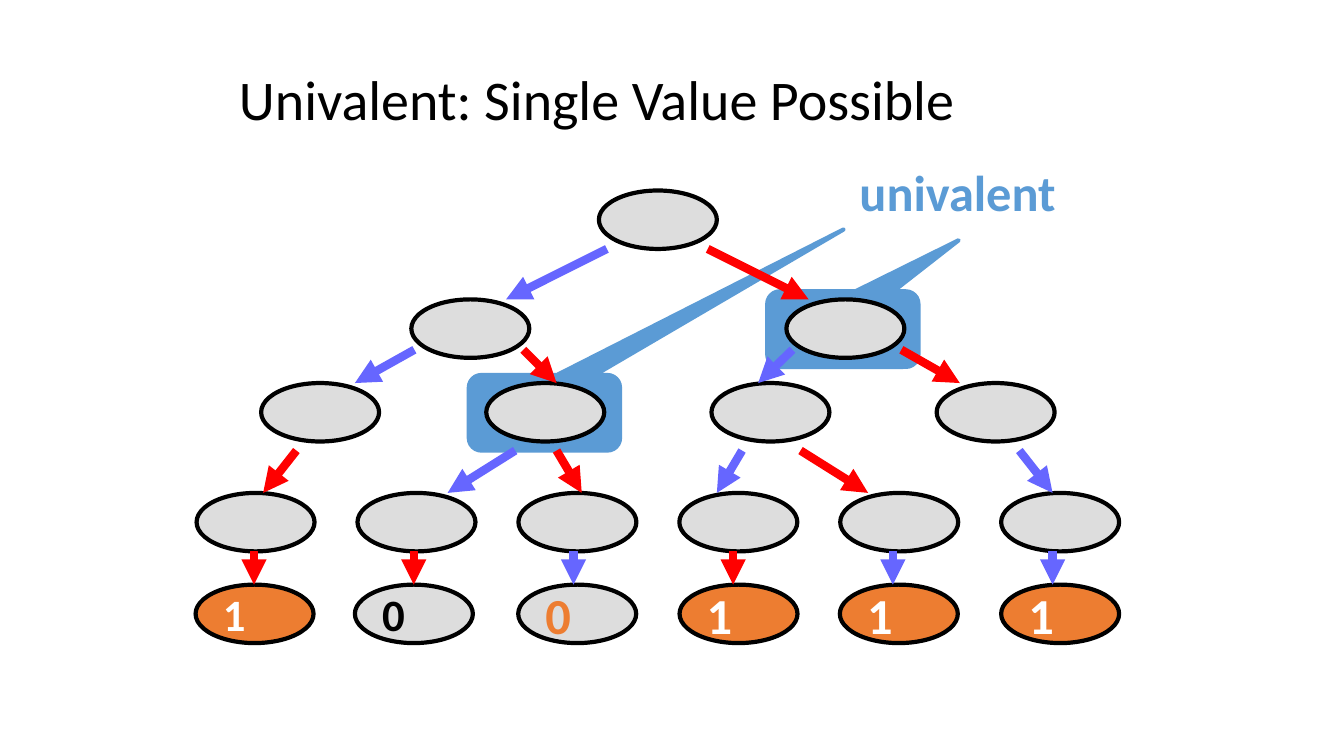
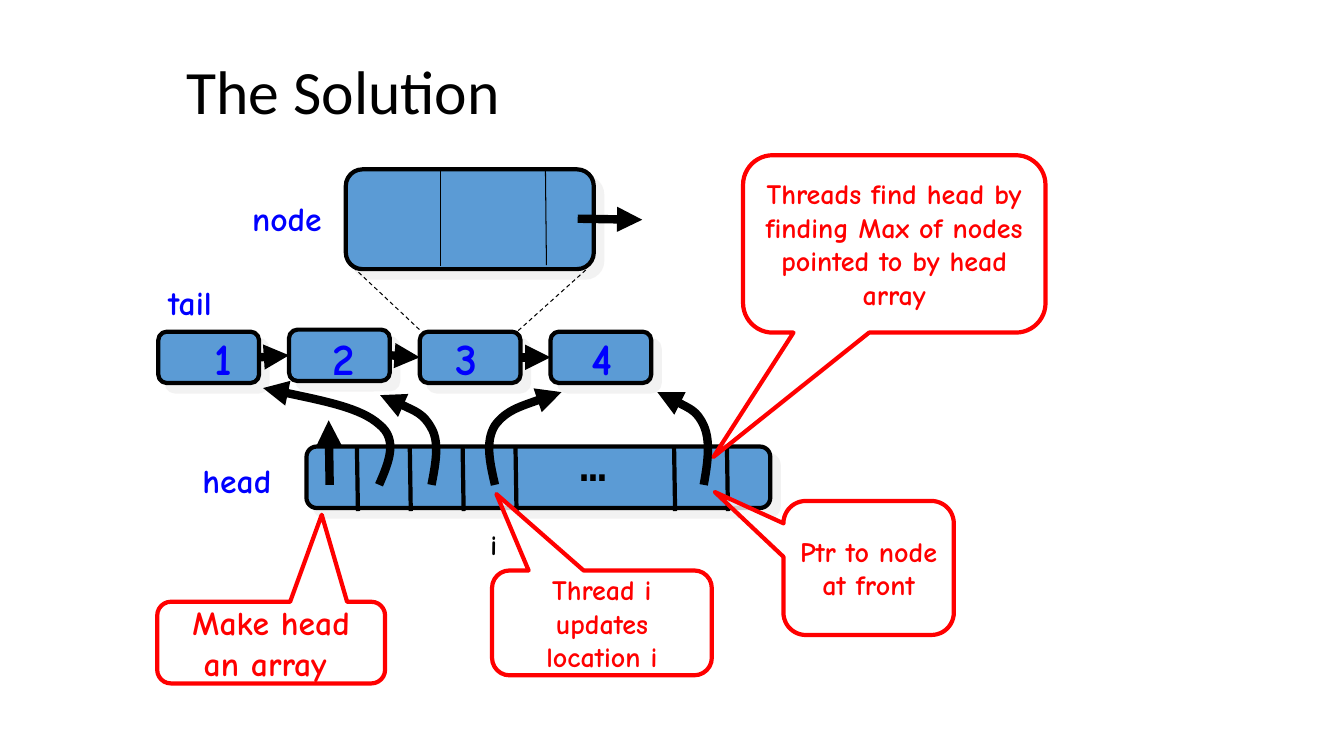
from dataclasses import dataclass
from typing import Any

from lxml import etree
from pptx import Presentation
from pptx.dml.color import RGBColor
from pptx.enum.dml import MSO_LINE
from pptx.enum.shapes import MSO_CONNECTOR, MSO_SHAPE
from pptx.enum.text import MSO_ANCHOR, MSO_AUTO_SIZE, PP_ALIGN
from pptx.oxml.ns import qn
from pptx.util import Inches, Pt

STRAIGHT = MSO_CONNECTOR.STRAIGHT
ELLIPSE = MSO_SHAPE.OVAL
ROUNDED = MSO_SHAPE.ROUNDED_RECTANGLE
CALLOUT = MSO_SHAPE.ROUNDED_RECTANGULAR_CALLOUT
LEFT, CENTER, RIGHT = PP_ALIGN.LEFT, PP_ALIGN.CENTER, PP_ALIGN.RIGHT
MIDDLE = MSO_ANCHOR.MIDDLE
DASH = MSO_LINE.DASH
SIDE_LEFT, SIDE_RIGHT = 1, 3

COLORS = {
    "black": "000000", "white": "FFFFFF", "state": "DDDDDD", "one": "ED7D31",
    "accent": "5B9BD5", "left_move": "6666FF", "right_move": "FF0000",
    "label": "0000FF", "remark": "FF0000", "shadow": "E7E6E6",
}
BODY_FONT, COMIC_FONT, MONO_FONT = "Calibri", "Comic Neue", "DejaVu Sans Mono"
CORNER = 0.167
Point = tuple[float, float]


@dataclass(frozen=True)
class Box:
    left: float
    top: float
    width: float
    height: float


@dataclass(frozen=True)
class TextStyle:
    size: float
    color: str
    font: str = COMIC_FONT
    bold: bool = True
    align: Any = RIGHT


@dataclass(frozen=True)
class Label:
    text: str
    box: Box
    style: TextStyle


@dataclass(frozen=True)
class Leaf:
    value: str
    left: float
    fill: str
    color: str
    size: float = 36


@dataclass(frozen=True)
class Move:
    start: Point
    end: Point
    color: str


@dataclass(frozen=True)
class Remark:
    text: str
    box: Box
    pointer: Point
    size: float = 20


@dataclass(frozen=True)
class ListNode:
    number: str
    top: float
    number_left: float


# Shared drawing helpers
def rgb(name: str) -> RGBColor:
    return RGBColor.from_string(COLORS[name])


def spread(first: float, last: float, count: int) -> list[float]:
    return [first + (last - first) * i / (count - 1) for i in range(count)]


def write(frame: Any, text: str, style: TextStyle) -> None:
    paragraph = frame.paragraphs[0]
    paragraph.alignment = style.align
    run = paragraph.add_run()
    run.text = text
    run.font.name, run.font.size, run.font.bold = style.font, Pt(style.size), style.bold
    run.font.color.rgb = rgb(style.color)


def add_titled_slide(deck: Any, text: str, box: Box, size: float) -> Any:
    slide = deck.slides.add_slide(deck.slide_layouts[5])
    title = slide.shapes.title
    title.left, title.top = Inches(box.left), Inches(box.top)
    title.width, title.height = Inches(box.width), Inches(box.height)
    frame = title.text_frame
    frame.word_wrap, frame.auto_size = True, MSO_AUTO_SIZE.NONE
    frame.vertical_anchor = MIDDLE
    frame.paragraphs[0].line_spacing = 0.9
    write(frame, text, TextStyle(size, "black", BODY_FONT, False, LEFT))
    return slide


def add_figure(shapes: Any, preset: Any, box: Box, fill: str, line: str = "black") -> Any:
    figure = shapes.add_shape(preset, Inches(box.left), Inches(box.top),
                              Inches(box.width), Inches(box.height))
    figure.shadow.inherit = False
    figure.fill.solid()
    figure.fill.fore_color.rgb = rgb(fill)
    figure.line.color.rgb = rgb(line)
    figure.line.width = Pt(3)
    return figure


def add_callout(shapes: Any, box: Box, pointer: Point, fill: str, line: str) -> Any:
    callout = add_figure(shapes, CALLOUT, box, fill, line)
    for index, value in enumerate((*pointer, CORNER)):
        callout.adjustments[index] = value
    return callout


def add_shadowed_box(shapes: Any, box: Box) -> Any:
    block = add_figure(shapes, ROUNDED, box, "accent")
    block.adjustments[0] = CORNER
    effects = block.element.spPr.find(qn("a:effectLst"))
    shadow = etree.SubElement(effects, qn("a:outerShdw"), dist=str(Pt(8.5)),
                              dir="2700000", algn="ctr", rotWithShape="0")
    tint = etree.SubElement(shadow, qn("a:srgbClr"), val=COLORS["shadow"])
    etree.SubElement(tint, qn("a:alpha"), val="50000")
    return block


def add_arrowhead(drawn: Any) -> None:
    etree.SubElement(drawn.line._get_or_add_ln(), qn("a:tailEnd"), type="triangle")


def add_line(shapes: Any, start: Point, end: Point, color: str = "black",
             width: float = 6, arrow: bool = False, dash: Any = None) -> Any:
    line = shapes.add_connector(STRAIGHT, *(Inches(v) for v in (*start, *end)))
    line.line.color.rgb = rgb(color)
    line.line.width = Pt(width)
    if dash is not None:
        line.line.dash_style = dash
    if arrow:
        add_arrowhead(line)
    etree.SubElement(line.element.spPr, qn("a:effectLst"))
    return line


def add_curved_arrow(shapes: Any, points: list[Point]) -> None:
    start, *rest = [(Inches(x), Inches(y)) for x, y in points]
    builder = shapes.build_freeform(*start, scale=1.0)
    builder.add_line_segments(rest, close=False)
    curve = builder.convert_to_shape()
    curve.shadow.inherit = False
    curve.fill.background()
    curve.line.color.rgb = rgb("black")
    curve.line.width = Pt(6)
    add_arrowhead(curve)
    # Each three segments become the control points of one Bezier curve
    outline = next(curve.element.iter(qn("a:path")))
    segments = outline.findall(qn("a:lnTo"))
    for first in range(0, len(segments), 3):
        bezier = etree.SubElement(outline, qn("a:cubicBezTo"))
        for segment in segments[first:first + 3]:
            bezier.append(segment[0])
            outline.remove(segment)


def add_label(shapes: Any, label: Label) -> None:
    box = label.box
    holder = shapes.add_textbox(Inches(box.left), Inches(box.top),
                                Inches(box.width), Inches(box.height))
    frame = holder.text_frame
    frame.word_wrap, frame.auto_size = False, MSO_AUTO_SIZE.SHAPE_TO_FIT_TEXT
    write(frame, label.text, label.style)


# Slide 1: tree of states
STATE_W, STATE_H = 1.17, 0.58
STATE_ROWS = [
    (1.89, [5.94]),
    (2.97, [4.08, 7.8]),
    (3.8, spread(2.59, 9.29, 4)),
    (4.89, spread(1.95, 9.93, 6)),
]
LEAF_TOP = 5.8
LEAVES = [
    Leaf("1", 1.94, "one", "white", 32),
    Leaf("0", 3.52, "state", "black", 32),
    Leaf("0", 5.14, "state", "one"),
    *(Leaf("1", left, "one", "white") for left in (6.74, 8.33, 9.93)),
]
MOVES = [
    Move((x1, y1), (x2, y2), color)
    for y1, y2, row in [
        (2.47, 2.97, [(6.02, 5.02, "left_move"), (7.02, 8.02, "right_move")]),
        (3.47, 3.8, [(4.11, 3.52, "left_move"), (5.19, 5.52, "right_move"),
                     (7.86, 7.52, "left_move"), (8.94, 9.52, "right_move")]),
        (4.47, 4.89, [(2.94, 2.61, "right_move"), (5.11, 4.44, "left_move"),
                      (5.52, 5.77, "right_move"), (7.36, 7.11, "left_move"),
                      (7.94, 8.61, "right_move"), (10.11, 10.44, "left_move")]),
    ]
    for x1, x2, color in row
]
LAST_MOVES = ["right_move", "right_move", "left_move",
              "right_move", "left_move", "left_move"]


def build_univalent(deck: Any) -> None:
    slide = add_titled_slide(deck, "Univalent: Single Value Possible",
                             Box(2.27, 0.39, 8.5, 1.25), 40)
    shapes = slide.shapes
    # Highlights behind the univalent states
    for left, top, pointer in [(4.65, 3.72, (1.977, -2.424)), (7.61, 2.89, (0.766, -1.176))]:
        add_callout(shapes, Box(left, top, 1.5, 0.75), pointer, "accent", "accent")
    # States and decided leaves
    for top, lefts in STATE_ROWS:
        for left in lefts:
            add_figure(shapes, ELLIPSE, Box(left, top, STATE_W, STATE_H), "state")
    for leaf in LEAVES:
        state = add_figure(shapes, ELLIPSE, Box(leaf.left, LEAF_TOP, STATE_W, STATE_H), leaf.fill)
        state.text_frame.word_wrap = False
        state.text_frame.vertical_anchor = MIDDLE
        write(state.text_frame, leaf.value,
              TextStyle(leaf.size, leaf.color, BODY_FONT, align=LEFT))
    # Moves between states
    last = [Move((x, 5.47), (x, LEAF_TOP), color)
            for x, color in zip(spread(2.52, 10.44, 6), LAST_MOVES)]
    for move in MOVES + last:
        add_line(shapes, move.start, move.end, move.color, arrow=True)
    add_label(shapes, Label("univalent", Box(8.27, 1.55, 2.3, 0.7),
                            TextStyle(36, "accent", BODY_FONT)))


# Slide 2: linked list with an array of heads
NUMBER = TextStyle(32, "label")
NAME = TextStyle(24, "label")
LIST_NODES = [ListNode("1", 3.29, 1.93), ListNode("2", 3.27, 3.15),
              ListNode("3", 3.29, 4.37), ListNode("4", 3.29, 5.7)]
LABELS = [
    Label("head", Box(1.83, 4.51, 0.96, 0.5), NAME),
    Label("tail", Box(1.47, 2.75, 0.73, 0.5), NAME),
    Label("node", Box(2.36, 1.91, 0.93, 0.5), NAME),
    Label("i", Box(4.75, 5.18, 0.28, 0.43), TextStyle(20, "black")),
]
HEAD_POINTERS = [
    [(6.98, 4.81), (7.02, 4.59), (7.05, 4.38), (6.98, 4.22), (6.91, 4.07), (6.71, 3.98), (6.52, 3.89)],
    [(4.91, 4.81), (4.86, 4.59), (4.81, 4.38), (4.91, 4.22), (5.02, 4.07), (5.3, 3.98), (5.57, 3.89)],
    [(4.28, 4.81), (4.32, 4.6), (4.36, 4.39), (4.28, 4.25), (4.2, 4.1), (3.98, 4.01), (3.77, 3.92)],
    [(3.76, 4.81), (3.86, 4.58), (3.95, 4.36), (3.76, 4.21), (3.58, 4.05), (3.09, 3.95), (2.61, 3.85)],
]
REMARKS = [
    Remark("Make head an array ", Box(1.56, 5.97, 2.26, 0.81), (0.222, -1.566), 24),
    Remark("Ptr to node at front", Box(7.77, 4.97, 1.69, 1.33), (-0.903, -0.567)),
    Remark("Thread i updates location i", Box(4.88, 5.66, 2.18, 1.04), (-0.48, -1.229)),
    Remark("Threads find head by finding Max of nodes pointed to by head array",
           Box(7.37, 1.54, 3, 1.76), (-0.598, 1.201)),
]


def add_head_array(shapes: Any) -> None:
    array = shapes.add_group_shape().shapes
    add_shadowed_box(array, Box(3.04, 4.43, 4.6, 0.61))
    dividers = spread(3.54, 7.21, 8)
    for x in dividers[:4] + dividers[6:]:
        add_line(array, (x, 4.43), (x + 0.01, 5.07), width=3)
    add_label(array, Label("…", Box(5.65, 4.28, 0.47, 0.63),
                           TextStyle(32, "black", MONO_FONT, False, LEFT)))


def build_solution(deck: Any) -> None:
    slide = add_titled_slide(deck, "The Solution", Box(1.75, 0.31, 8.5, 1.25), 44)
    shapes = slide.shapes
    add_head_array(shapes)
    # Linked list
    chain = [add_shadowed_box(shapes, Box(left, node.top, 1, 0.51))
             for left, node in zip(spread(1.57, 5.46, 4), LIST_NODES)]
    for current, following in zip(chain, chain[1:]):
        link = add_line(shapes, (0, 0), (1, 1), arrow=True)
        link.begin_connect(current, SIDE_RIGHT)
        link.end_connect(following, SIDE_LEFT)
    for node in LIST_NODES:
        add_label(shapes, Label(node.number, Box(node.number_left, 3.23, 0.47, 0.63), NUMBER))
    # Enlarged node
    add_shadowed_box(shapes, Box(3.43, 1.68, 2.46, 0.99))
    for start, end in [((4.16, 3.27), (3.48, 2.63)), ((5.14, 3.28), (5.82, 2.67))]:
        add_line(shapes, start, end, width=0.75, dash=DASH)
    for start, end in [((5.41, 1.69), (5.42, 2.63)), ((4.37, 1.7), (4.37, 2.64))]:
        add_line(shapes, start, end, width=0.75)
    add_line(shapes, (5.73, 2.17), (6.37, 2.18), arrow=True)
    for label in LABELS:
        add_label(shapes, label)
    # Pointers out of the head array
    for points in HEAD_POINTERS:
        add_curved_arrow(shapes, points)
    add_line(shapes, (3.27, 4.81), (3.26, 4.17), arrow=True)
    # Remarks
    for remark in REMARKS:
        callout = add_callout(shapes, remark.box, remark.pointer, "white", "remark")
        tint = callout.element.spPr.find(qn("a:solidFill"))[0]
        etree.SubElement(tint, qn("a:alpha"), val="80000")
        callout.text_frame.word_wrap = True
        callout.text_frame.vertical_anchor = MIDDLE
        write(callout.text_frame, remark.text, TextStyle(remark.size, "remark", align=CENTER))


def main() -> None:
    deck = Presentation()
    deck.slide_width, deck.slide_height = Inches(13.33), Inches(7.5)
    build_univalent(deck)
    build_solution(deck)
    deck.save("out.pptx")


if __name__ == "__main__":
    main()
